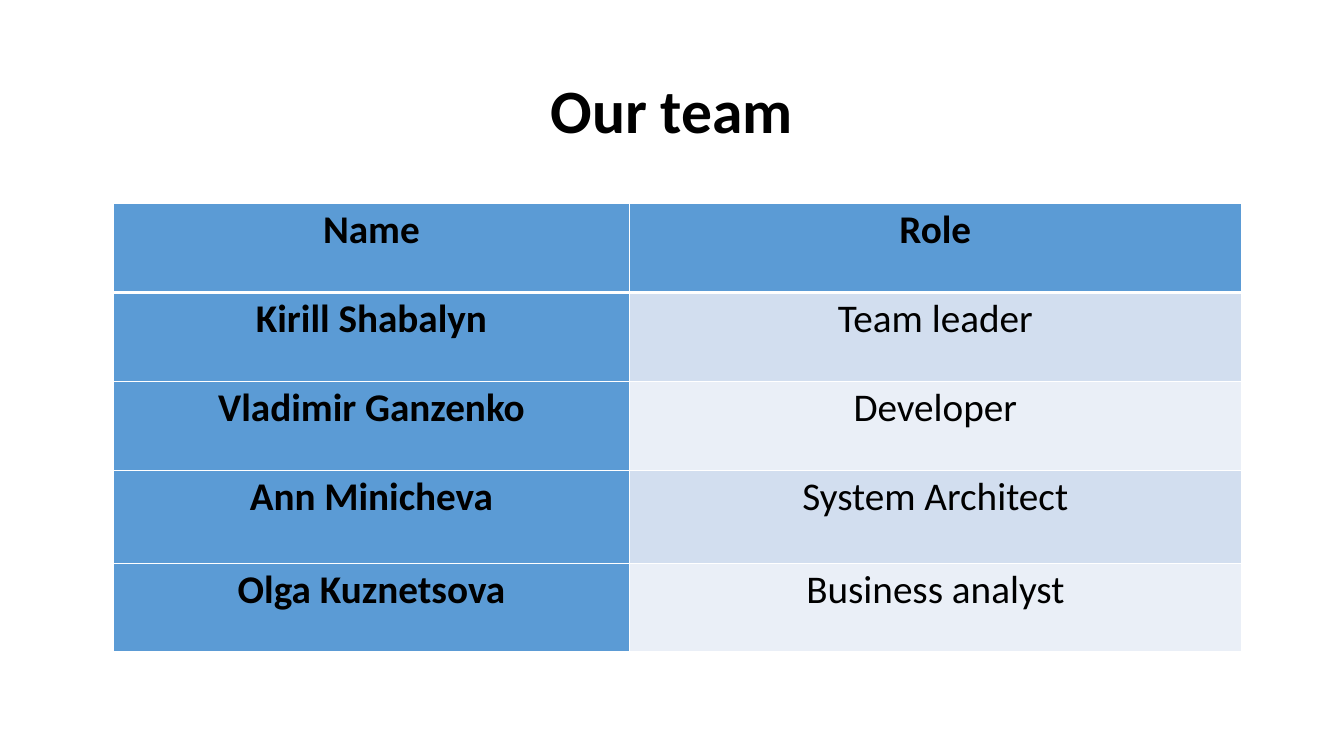
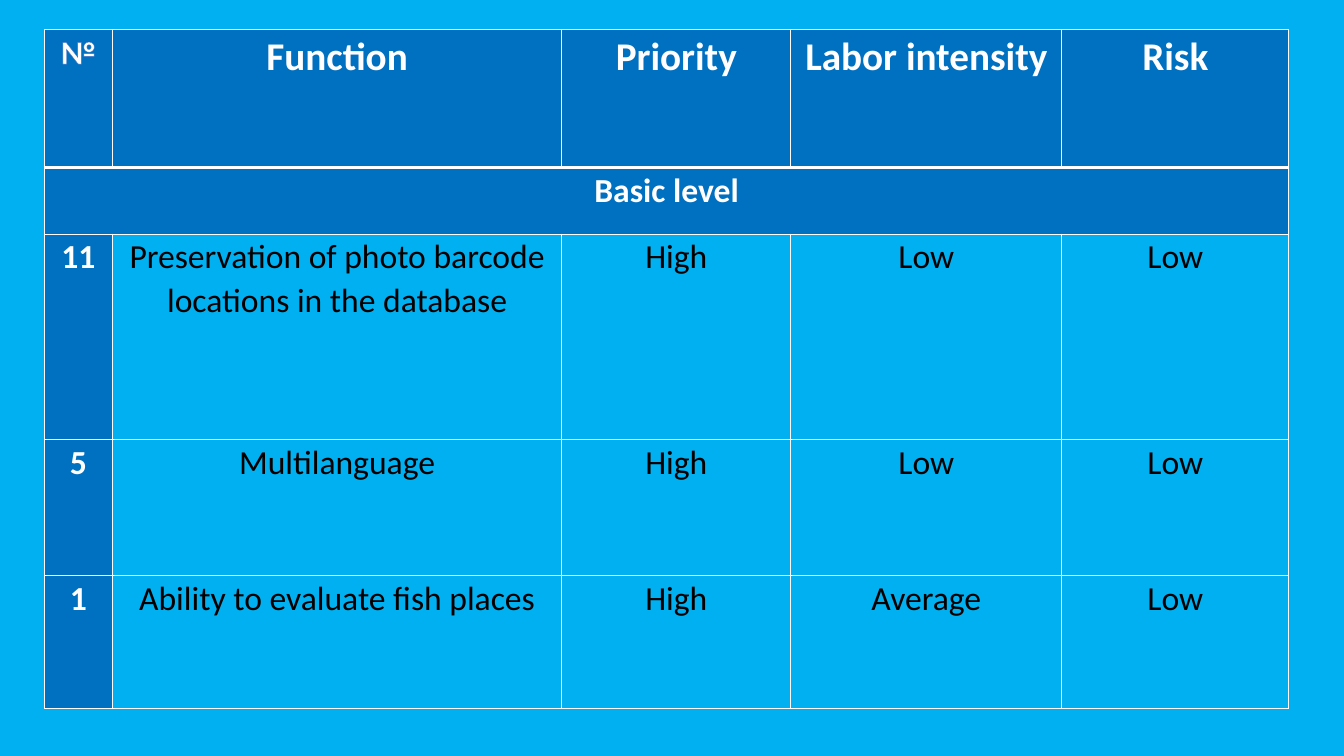
from lxml import etree
from pptx import Presentation
from pptx import util as u
from pptx.dml.color import RGBColor
from pptx.enum import text
from pptx.oxml import ns

COLOURS = {
    "white": "FFFFFF",
    "black": "000000",
    "steel": "5B9BD5",
    "pale": "D2DEEF",
    "paler": "EAEFF7",
    "navy": "0070C0",
    "sky": "00B0F0",
    "outline": "4472C4",
}
FONT = "Calibri"


def write(frame, words, size=24, bold=False, colour="black", spacing=1.07, outline=None):
    para = frame.paragraphs[0]
    para.alignment = text.PP_ALIGN.CENTER
    para.line_spacing = spacing
    span = para.add_run()
    span.text = words
    span.font.name = FONT
    span.font.size = u.Pt(size)
    span.font.bold = bold
    span.font.color.rgb = RGBColor.from_string(COLOURS[colour])
    if outline:
        line = etree.Element(ns.qn("a:ln"), w=str(u.Pt(0.8)))
        fill = etree.SubElement(line, ns.qn("a:solidFill"))
        etree.SubElement(fill, ns.qn("a:srgbClr"), val=COLOURS[outline])
        span.font._element.insert(0, line)


def add_grid(page, left, top, widths, heights, fills):
    frame = page.shapes.add_table(
        len(heights), len(widths), u.Cm(left), u.Cm(top), u.Cm(sum(widths)), u.Cm(sum(heights))
    )
    table = frame.table
    table.first_row = table.horz_banding = False
    for column, width in zip(table.columns, widths):
        column.width = u.Cm(width)
    for r, height in enumerate(heights):
        table.rows[r].height = u.Cm(height)
        for c in range(len(widths)):
            cell = table.cell(r, c)
            cell.margin_left = cell.margin_right = u.Cm(0.18)
            cell.margin_top = cell.margin_bottom = 0
            cell.fill.solid()
            cell.fill.fore_color.rgb = RGBColor.from_string(COLOURS[fills[r][c]])
            heavy = {0: "B", 1: "T"}.get(r)
            for place, side in enumerate("LRTB"):
                weight = 3 if side == heavy else 1
                line = etree.Element(ns.qn(f"a:ln{side}"), w=str(u.Pt(weight)))
                paint = etree.SubElement(line, ns.qn("a:solidFill"))
                etree.SubElement(paint, ns.qn("a:srgbClr"), val=COLOURS["white"])
                cell._tc.get_or_add_tcPr().insert(place, line)
    return table


deck = Presentation()
deck.slide_width = u.Cm(33.87)
deck.slide_height = u.Cm(19.05)
pages = []
for background in ("white", "sky"):
    page = deck.slides.add_slide(deck.slide_layouts[6])
    page.background.fill.solid()
    page.background.fill.fore_color.rgb = RGBColor.from_string(COLOURS[background])
    pages.append(page)
team_page, function_page = pages

title_box = team_page.shapes.add_textbox(u.Cm(2.33), u.Cm(1.01), u.Cm(29.21), u.Cm(3.68))
title_box.text_frame.word_wrap = True
title_box.text_frame.vertical_anchor = text.MSO_ANCHOR.MIDDLE
write(title_box.text_frame, "Our team", size=44, bold=True, spacing=0.9)

team = [
    ("Name", "Role"),
    ("Kirill Shabalyn", "Team leader"),
    ("Vladimir Ganzenko", "Developer"),
    ("Ann Minicheva", "System Architect"),
    ("Olga Kuznetsova", "Business analyst"),
]
team_fills = [("steel", "steel")] + [("steel", "pale"), ("steel", "paler")] * 2
team_table = add_grid(
    team_page, 2.86, 5.13, [13, 15.42], [2.24, 2.24, 2.24, 2.34, 2.24], team_fills
)
for r, row in enumerate(team):
    for c, words in enumerate(row):
        write(team_table.cell(r, c).text_frame, words, size=28, bold=r == 0 or c == 0, spacing=1.06)

functions = [
    ("№", "Function", "Priority", "Labor intensity", "Risk"),
    ("Basic level",),
    ("11", "Preservation of photo barcode locations in the database", "High", "Low", "Low"),
    ("5", "Multilanguage", "High", "Low", "Low"),
    ("1", "Ability to evaluate fish places", "High", "Average", "Low"),
]
function_fills = [["navy"] * 5] * 2 + [["navy"] + ["sky"] * 4] * 3
function_table = add_grid(
    function_page,
    1.12,
    0.74,
    [1.71, 11.33, 5.77, 6.83, 5.72],
    [3.48, 1.68, 5.18, 3.43, 3.35],
    function_fills,
)
function_table.cell(1, 0).merge(function_table.cell(1, 4))
for r, row in enumerate(functions):
    for c, words in enumerate(row):
        heading = r < 2 or c == 0
        write(
            function_table.cell(r, c).text_frame,
            words,
            size=28 if r == 0 and c > 0 else 24,
            bold=heading,
            colour="white" if heading else "black",
            outline="outline" if words == "№" else None,
        )

deck.save("out.pptx")
